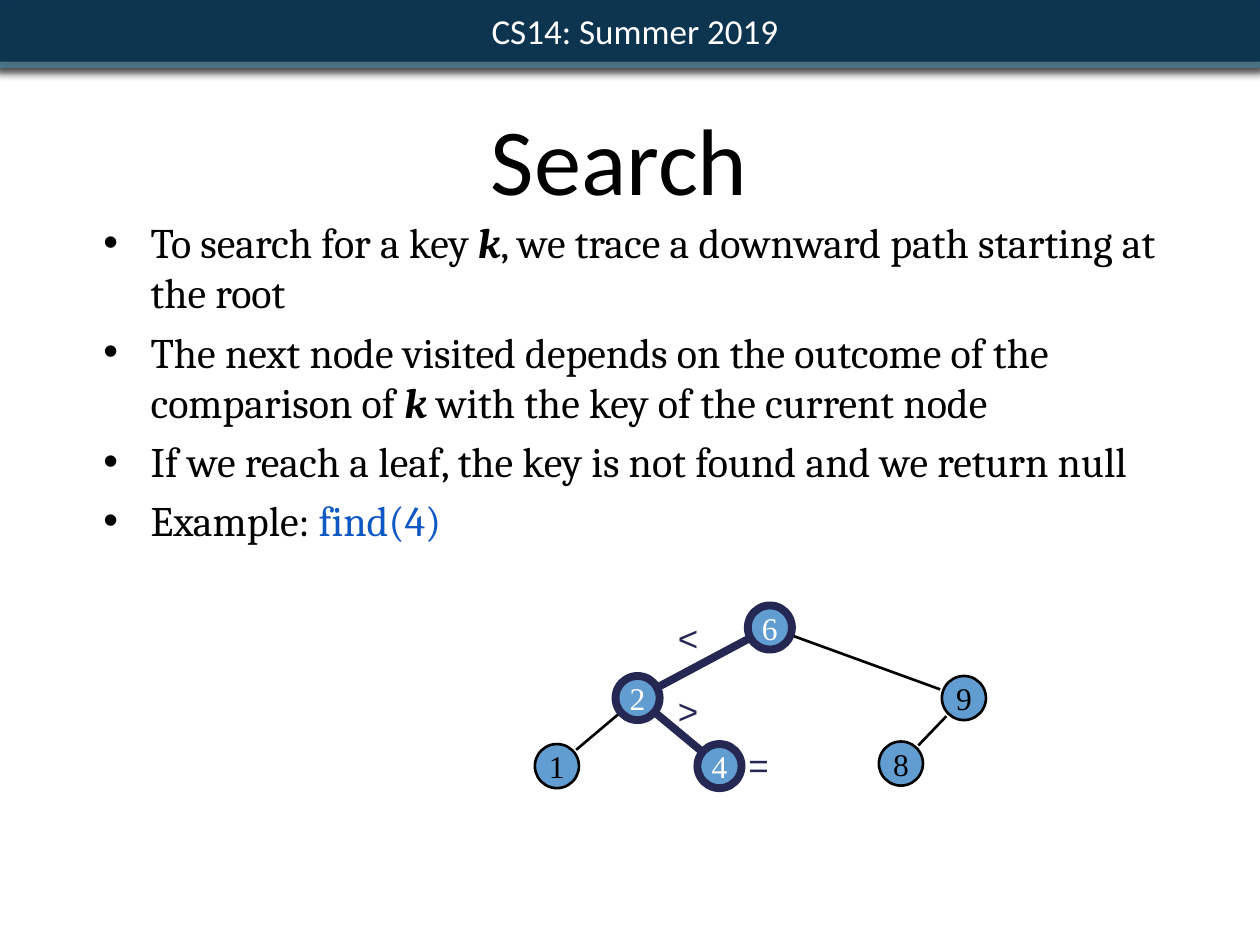
import math
import pptx
import pptx.util
import pptx.dml.color
import pptx.enum.shapes
import pptx.enum.text
import pptx.oxml
import pptx.oxml.ns
import lxml.etree

deck = pptx.Presentation()
deck.slide_width = pptx.util.Inches(10)
deck.slide_height = pptx.util.Inches(7.5)
column = deck.slide_width / 100
row = deck.slide_height / 75
page = deck.slides.add_slide(deck.slide_layouts[6])
shapes = page.shapes
ovals = pptx.enum.shapes.MSO_SHAPE
anchors = pptx.enum.text.MSO_ANCHOR
aligns = pptx.enum.text.PP_ALIGN
namespace = pptx.oxml.ns.nsdecls("a")


def color(value):
    return pptx.dml.color.RGBColor.from_string(value)


def write(box, paragraphs, size=18, font="Calibri", ink="000000", align=aligns.LEFT,
          anchor=anchors.TOP, inset=0.5, wrap=True, bullet=False, leading=None, indent=0):
    frame = box.text_frame
    frame.word_wrap = wrap
    frame.vertical_anchor = anchor
    frame.margin_left = frame.margin_right = round(inset * column)
    frame.margin_top = frame.margin_bottom = round(inset * row)
    for number, pieces in enumerate(paragraphs):
        para = frame.add_paragraph() if number else frame.paragraphs[0]
        para.alignment = align
        if leading:
            para.line_spacing = pptx.util.Pt(leading)
        if number:
            para.space_before = pptx.util.Pt(5)
        settings = para._p.get_or_add_pPr()
        settings.set("marL", str(round(3.75 * column) if bullet else 0))
        settings.set("indent", str(round((-3.75 if bullet else indent) * column)))
        if bullet:
            settings.append(pptx.oxml.parse_xml(f'<a:buFont {namespace} typeface="Arial"/>'))
            settings.append(pptx.oxml.parse_xml(f'<a:buChar {namespace} char="•"/>'))
        for words, style in pieces:
            span = para.add_run()
            span.text = words
            span.font.size = pptx.util.Pt(size)
            span.font.name = font
            span.font.bold = span.font.italic = style == "key"
            span.font.color.rgb = color("0E58C4" if style == "call" else ink)


bands = [
    (-0.4, 100.7, 5.4, "427A92", 100, "000000", 75),
    (-0.1, 100.3, 4.9, "062F4B", 90, "5E5E5E", 50),
]
for left, width, height, paint, opacity, shade, strength in bands:
    band = shapes.add_shape(ovals.RECTANGLE, round(left * column), 0,
                            round(width * column), round(height * row))
    band.fill.solid()
    band.fill.fore_color.rgb = color(paint)
    band.line.fill.background()
    tint = band._element.spPr.find(".//" + pptx.oxml.ns.qn("a:srgbClr"))
    lxml.etree.SubElement(tint, pptx.oxml.ns.qn("a:alpha")).set("val", str(opacity * 1000))
    band._element.spPr.append(pptx.oxml.parse_xml(
        f'<a:effectLst {namespace}><a:outerShdw blurRad="63500" dist="25400" dir="5400000" '
        f'rotWithShape="0"><a:srgbClr val="{shade}"><a:alpha val="{strength * 1000}"/>'
        '</a:srgbClr></a:outerShdw></a:effectLst>'))
write(band, [[("CS14: Summer 2019", "")]], size=20, ink="FFFFFF", align=aligns.CENTER,
      anchor=anchors.MIDDLE, inset=0.6, indent=0.7)

title = shapes.add_textbox(round(5 * column), 0, round(90 * column), round(17.5 * row))
write(title, [[("Search ", "")]], size=54, align=aligns.CENTER, anchor=anchors.BOTTOM, leading=58)

body = shapes.add_textbox(round(7.7 * column), round(16.7 * row),
                          round(86.5 * column), round(34.7 * row))
write(body, [
    [("To search for a key ", ""), ("k", "key"),
     (", we trace a downward path starting at the root", "")],
    [("The next node visited depends on the outcome of the comparison of ", ""), ("k", "key"),
     (" with the key of the current node", "")],
    [("If we reach a leaf, the key is not found and we return null", "")],
    [("Example: ", ""), ("find(4)", "call")],
], size=24, font="Cambria", bullet=True)

diameter = 3.5
trim = 2
nodes = {"6": (61.1, 49.8), "9": (76.5, 55.4), "2": (50.6, 55.4),
         "4": (57.1, 60.8), "1": (44.2, 60.8), "8": (71.5, 60.6)}
visited = "624"
edges = ["62", "69", "98", "21", "24"]

for parent, child in edges:
    (x1, y1), (x2, y2) = nodes[parent], nodes[child]
    share = trim / math.hypot(x2 - x1, y2 - y1)
    dx, dy = (x2 - x1) * share, (y2 - y1) * share
    edge = shapes.add_connector(
        pptx.enum.shapes.MSO_CONNECTOR.STRAIGHT,
        round((x1 + dx) * column), round((y1 + dy) * row),
        round((x2 - dx) * column), round((y2 - dy) * row))
    traced = parent in visited and child in visited
    edge.line.color.rgb = color("242852" if traced else "000000")
    edge.line.width = pptx.util.Pt(4.5 if traced else 1.5)
    lxml.etree.SubElement(edge._element.spPr, pptx.oxml.ns.qn("a:effectLst"))

for key, (x, y) in nodes.items():
    node = shapes.add_shape(ovals.OVAL, round((x - diameter / 2) * column),
                            round((y - diameter / 2) * row),
                            round(diameter * column), round(diameter * row))
    node.shadow.inherit = False
    node.fill.solid()
    node.fill.fore_color.rgb = color("629DD1")
    node.line.color.rgb = color("242852" if key in visited else "000000")
    node.line.width = pptx.util.Pt(4.5 if key in visited else 1.5)
    write(node, [[(key, "")]], font="Times New Roman", align=aligns.CENTER,
          ink="FFFFFF" if key in visited else "000000",
          anchor=anchors.MIDDLE, inset=0, wrap=False)

for sign, x, y in [("<", 53.3, 48.4), (">", 53.3, 54.2), ("=", 58.9, 58.5)]:
    label = shapes.add_textbox(round(x * column), round(y * row),
                               round(2.7 * column), round(3.8 * row))
    write(label, [[(sign, "")]], size=20, font="Arial", ink="242852", wrap=False)

deck.save("out.pptx")
